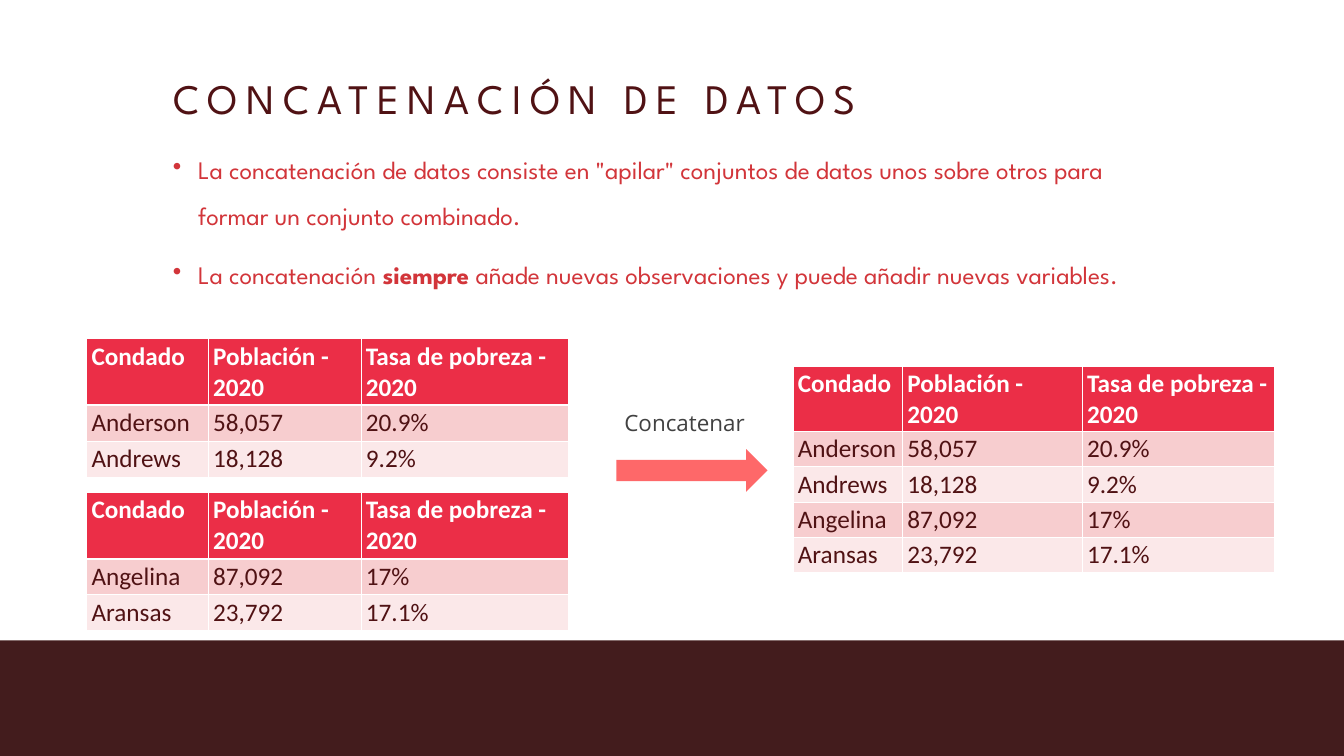
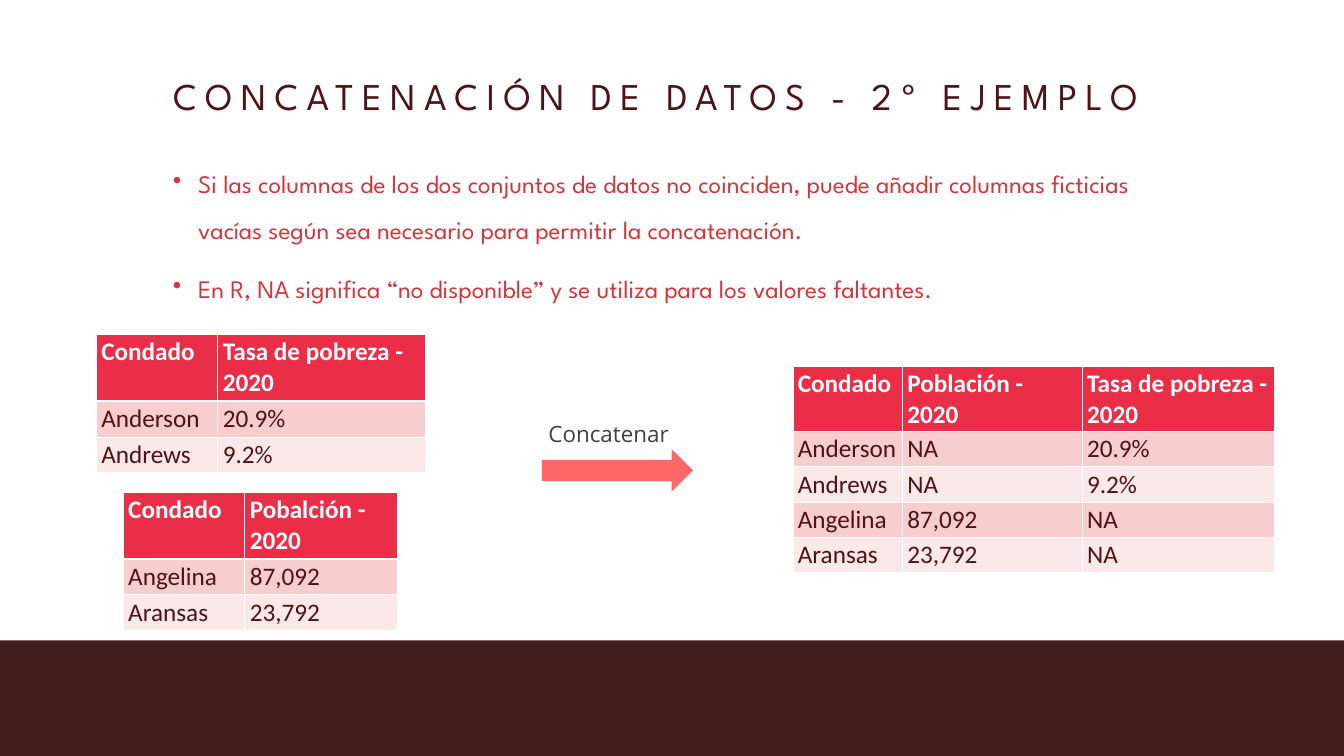
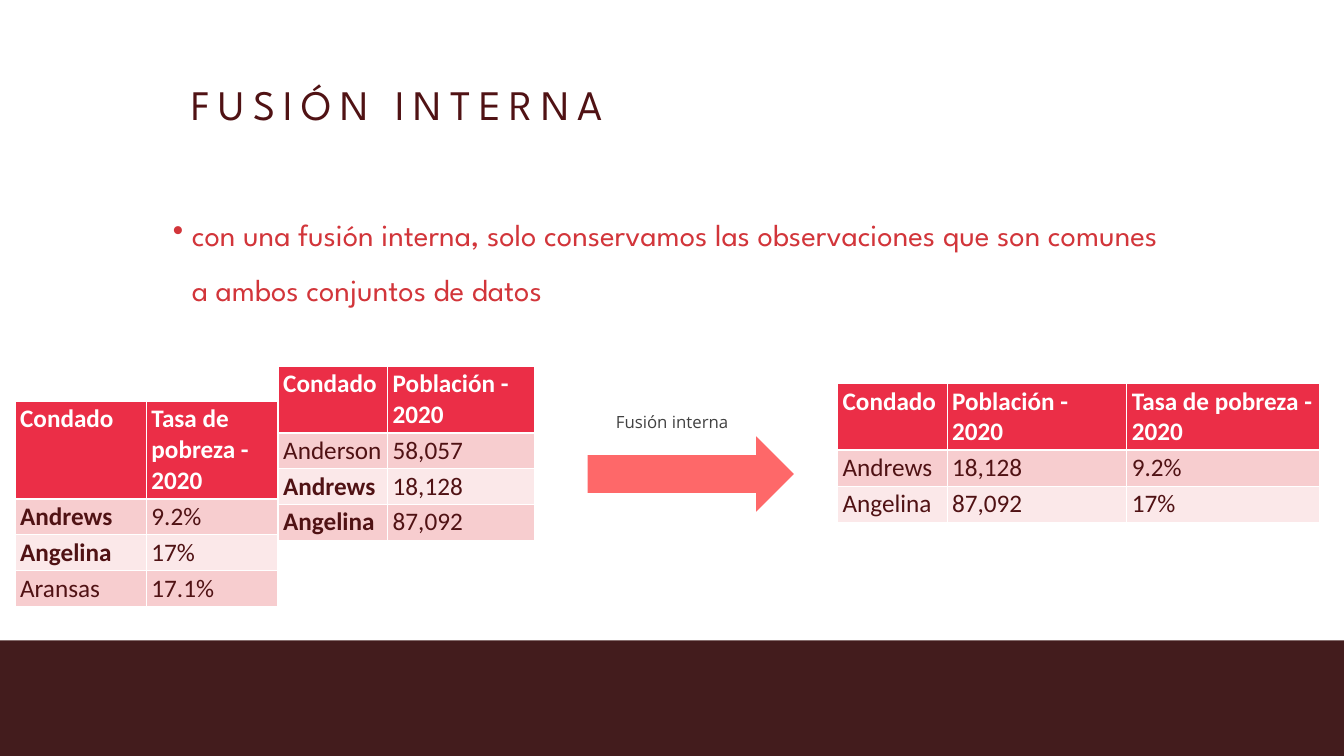
from lxml import etree
from pptx import Presentation
from pptx.dml.color import RGBColor
from pptx.enum.shapes import MSO_SHAPE as Shape
from pptx.enum.text import MSO_ANCHOR as Anchor, MSO_AUTO_SIZE as AutoSize, PP_ALIGN as Align
from pptx.oxml.ns import qn
from pptx.util import Pt

COLORS = {
    "background": "FFFFFF", "band": "431C1D", "title": "501214", "body": "D2353A",
    "arrow": "FE6869", "label": "414141", "header": "EB2E47", "header text": "FFFFFF",
    "odd row": "F7CDCF", "even row": "FBE8E9", "cell text": "501214", "border": "FFFFFF",
}
TITLE_FONT, TABLE_FONT, LABEL_FONT = "League Spartan", "Calibri", "Open Sans"

COUNTY, POPULATION, RATE = "Condado", "Población - 2020", "Tasa de pobreza - 2020"
INPUT_WIDTHS = {COUNTY: 173.6, POPULATION: 218.4, RATE: 296}
RESULT_WIDTHS = {COUNTY: 156.5, POPULATION: 256.6, RATE: 275.2}
RESULT_LEFT, RESULT_TOP = 1132.6, 522.7
LINE_HEIGHT, CELL_PADDING = 43.2, 7.2


def color(name):
    return RGBColor.from_string(COLORS[name])


def write_text(frame, *texts, font, size, fill, bold=False, align=Align.LEFT,
               line_spacing=None, space_before=0, indent=0, tracking=0):
    """Write one paragraph per text; parts between ** are bold, and an indent adds a bullet."""
    for index, text in enumerate(texts):
        paragraph = frame.add_paragraph() if index else frame.paragraphs[0]
        paragraph.alignment = align
        if indent:
            properties = paragraph._p.get_or_add_pPr()
            properties.set("marL", str(Pt(indent)))
            properties.set("indent", str(-Pt(indent)))
            etree.SubElement(properties, qn("a:buChar"), char="•")
        if line_spacing:
            paragraph.line_spacing = line_spacing
        if index:
            paragraph.space_before = Pt(space_before)
        for part_index, part in enumerate(text.split("**")):
            if not part:
                continue
            run = paragraph.add_run()
            run.text = part
            run.font.name = font
            run.font.size = Pt(size)
            run.font.color.rgb = color(fill)
            run.font.bold = bold or part_index % 2 == 1
            if tracking:
                run._r.get_or_add_rPr().set("spc", str(tracking * 100))


def set_borders(cell, bottom):
    properties = cell._tc.get_or_add_tcPr()
    for side, width in (("L", 1), ("R", 1), ("T", 1), ("B", bottom)):
        line = etree.SubElement(properties, qn(f"a:ln{side}"), w=str(Pt(width)))
        fill = etree.SubElement(line, qn("a:solidFill"))
        etree.SubElement(fill, qn("a:srgbClr"), val=COLORS["border"])


class Deck:
    def __init__(self):
        self.presentation = Presentation()
        self.presentation.slide_width = Pt(1920)
        self.presentation.slide_height = Pt(1080)
        background = self.presentation.slide_master.background.fill
        background.solid()
        background.fore_color.rgb = color("background")
        self.slide = None

    def new_slide(self, title, size=60, left=240, top=108):
        self.slide = self.presentation.slides.add_slide(self.presentation.slide_layouts[5])
        self.shape(Shape.RECTANGLE, 0, 915, 1920, 172.8, "band")
        shape = self.slide.shapes.title
        shape.left, shape.top, shape.width, shape.height = Pt(left), Pt(top), Pt(1440), Pt(90)
        frame = shape.text_frame
        frame.word_wrap = True
        frame.auto_size = AutoSize.NONE
        frame.vertical_anchor = Anchor.TOP
        write_text(frame, title, font=TITLE_FONT, size=size, fill="title",
                   line_spacing=0.9, tracking=12)

    def shape(self, kind, left, top, width, height, fill):
        shape = self.slide.shapes.add_shape(kind, Pt(left), Pt(top), Pt(width), Pt(height))
        shape.shadow.inherit = False
        shape.fill.solid()
        shape.fill.fore_color.rgb = color(fill)
        shape.line.fill.background()

    def text_box(self, left, top, width, height, *texts, auto_size=AutoSize.NONE, **style):
        frame = self.slide.shapes.add_textbox(
            Pt(left), Pt(top), Pt(width), Pt(height)).text_frame
        frame.word_wrap = True
        frame.auto_size = auto_size
        write_text(frame, *texts, **style)

    def bullets(self, top, *texts, size=36, indent=36):
        self.text_box(240, top, 1440, 800 - top, *texts, font=TITLE_FONT, size=size,
                      fill="body", line_spacing=1.5, space_before=20, indent=indent)

    def arrow(self, left, top, width=216, height=61.2):
        self.shape(Shape.RIGHT_ARROW, left, top, width, height, "arrow")

    def label(self, text, left, top, width=280, height=46, size=32):
        self.text_box(left, top, width, height, text, font=LABEL_FONT, size=size,
                      fill="label", align=Align.CENTER, auto_size=AutoSize.SHAPE_TO_FIT_TEXT)

    def table(self, left, top, widths, *rows, header_lines=2):
        """Draw rows under the keys of widths, which maps each heading to its column width."""
        heights = [CELL_PADDING + LINE_HEIGHT * header_lines]
        heights += [CELL_PADDING + LINE_HEIGHT] * len(rows)
        table = self.slide.shapes.add_table(
            len(heights), len(widths), Pt(left), Pt(top),
            Pt(sum(widths.values())), Pt(sum(heights))).table
        for column, width in zip(table.columns, widths.values()):
            column.width = Pt(width)
        for row_index, texts in enumerate([widths, *rows]):
            table.rows[row_index].height = Pt(heights[row_index])
            is_header = row_index == 0
            row_fill = "header" if is_header else "odd row" if row_index % 2 else "even row"
            for column_index, text in enumerate(texts):
                cell = table.cell(row_index, column_index)
                set_borders(cell, bottom=3 if is_header else 1)
                cell.fill.solid()
                cell.fill.fore_color.rgb = color(row_fill)
                write_text(cell.text_frame, text, font=TABLE_FONT, size=36, bold=is_header,
                           fill="header text" if is_header else "cell text")


def pick(widths, *headings):
    return {heading: widths[heading] for heading in headings}


def concatenation(deck):
    first = [("Anderson", "58,057", "20.9%"), ("Andrews", "18,128", "9.2%")]
    second = [("Angelina", "87,092", "17%"), ("Aransas", "23,792", "17.1%")]
    deck.new_slide("CONCATENACIÓN DE DATOS")
    deck.bullets(
        196,
        'La concatenación de datos consiste en "apilar" conjuntos de datos unos sobre otros '
        "para formar un conjunto combinado.",
        "La concatenación **siempre** añade nuevas observaciones y puede añadir nuevas variables.")
    deck.table(123.6, 702.7, INPUT_WIDTHS, *second)
    deck.table(123.6, 483.8, INPUT_WIDTHS, *first)
    deck.arrow(880.5, 641.5)
    deck.label("Concatenar", 838, 581)
    deck.table(RESULT_LEFT, RESULT_TOP, RESULT_WIDTHS, *first, *second)


def concatenation_with_missing_columns(deck):
    rates = [("Anderson", "20.9%"), ("Andrews", "9.2%")]
    populations = [("Angelina", "87,092"), ("Aransas", "23,792")]
    deck.new_slide("CONCATENACIÓN DE DATOS - 2º EJEMPLO", size=54)
    deck.bullets(
        216,
        "Si las columnas de los dos conjuntos de datos no coinciden, puede añadir columnas "
        "ficticias vacías según sea necesario para permitir la concatenación.",
        "En R, NA significa “no disponible” y se utiliza para los valores faltantes.")
    population_widths = {COUNTY: INPUT_WIDTHS[COUNTY],
                         "Pobalción - 2020": INPUT_WIDTHS[POPULATION]}
    deck.table(176, 702.7, population_widths, *populations)
    deck.table(137.5, 477.5, pick(INPUT_WIDTHS, COUNTY, RATE), *rates)
    deck.arrow(774, 641.5)
    deck.label("Concatenar", 729.5, 596)
    deck.table(RESULT_LEFT, RESULT_TOP, RESULT_WIDTHS,
               *[(county, "NA", rate) for county, rate in rates],
               *[(county, population, "NA") for county, population in populations])


def inner_merge(deck):
    deck.new_slide("FUSIÓN INTERNA", left=266.5, top=116)
    deck.bullets(
        278,
        "con una fusión interna, solo conservamos las observaciones que son comunes "
        "a ambos conjuntos de datos",
        size=44, indent=27)
    deck.table(21.6, 573, {COUNTY: 187.6, RATE: 187.6},
               ("**Andrews**", "9.2%"), ("**Angelina**", "17%"), ("Aransas", "17.1%"),
               header_lines=3)
    deck.table(1196.6, 548, RESULT_WIDTHS,
               ("Andrews", "18,128", "9.2%"), ("Angelina", "87,092", "17%"))
    deck.table(397.4, RESULT_TOP, {COUNTY: RESULT_WIDTHS[COUNTY], POPULATION: 209.6},
               ("Anderson", "58,057"), ("**Andrews**", "18,128"), ("**Angelina**", "87,092"))
    deck.arrow(839.5, 623.5, 294.5, 107.3)
    deck.label("Fusión interna", 834.5, 584, 251.3, 36, size=24)


def main():
    deck = Deck()
    concatenation(deck)
    concatenation_with_missing_columns(deck)
    inner_merge(deck)
    deck.presentation.save("out.pptx")


if __name__ == "__main__":
    main()
